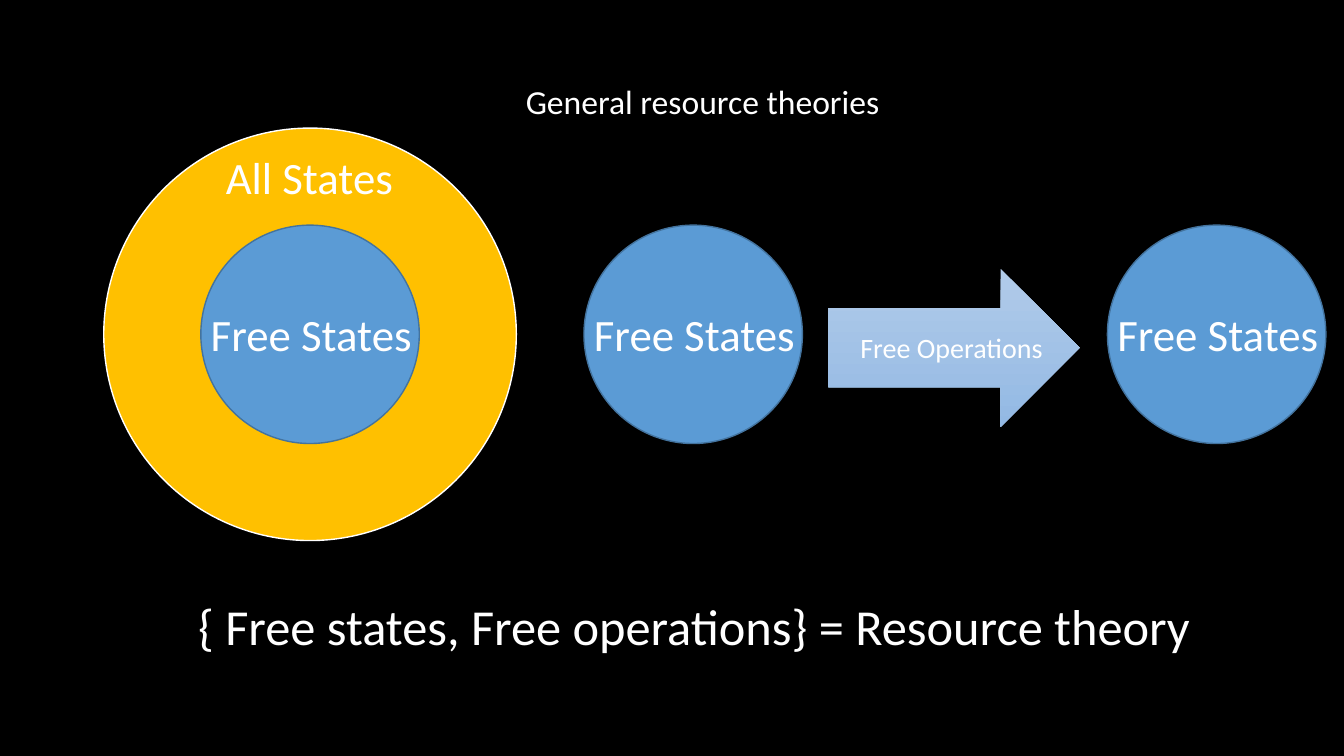
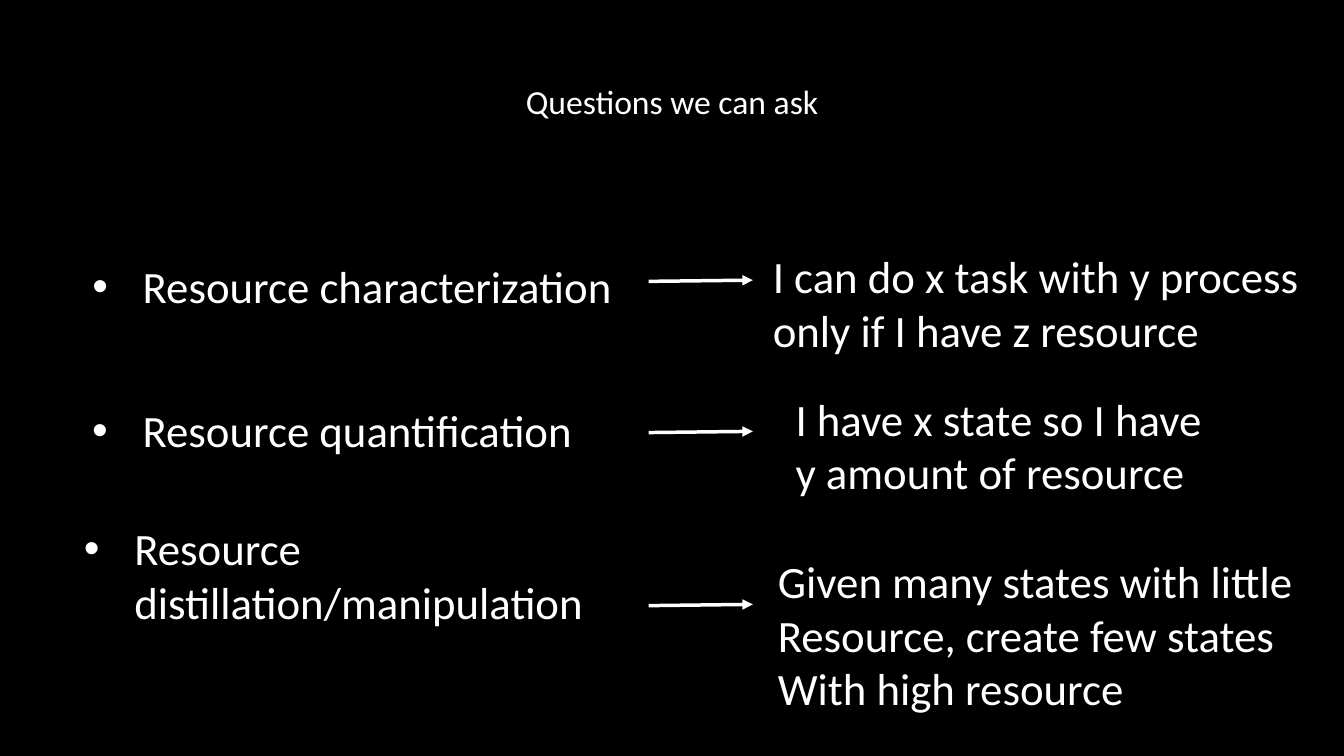
from dataclasses import dataclass

from lxml.etree import SubElement
from pptx import Presentation
from pptx.dml.color import RGBColor
from pptx.enum.shapes import MSO_CONNECTOR, MSO_SHAPE
from pptx.enum.text import MSO_ANCHOR, MSO_AUTO_SIZE, PP_ALIGN
from pptx.oxml.ns import qn
from pptx.shapes.autoshape import Shape
from pptx.slide import Slide
from pptx.util import Inches, Length, Pt

# Shared style
BLACK = RGBColor(0x00, 0x00, 0x00)
WHITE = RGBColor(0xFF, 0xFF, 0xFF)
GOLD = RGBColor(0xFF, 0xC0, 0x00)
BLUE = RGBColor(0x5B, 0x9B, 0xD5)
DARK_BLUE = RGBColor(0x43, 0x73, 0x9E)
ARROW_TOP = RGBColor(0xB1, 0xCB, 0xE9)
ARROW_BOTTOM = RGBColor(0x93, 0xB9, 0xE4)
FONT = "Calibri"
TITLE_SIZE, BODY_SIZE, FORMULA_SIZE, ARROW_SIZE = 24, 32, 36, 20

# Grid of square cells: 160 columns by 90 rows
SLIDE_W, SLIDE_H = Inches(13.33), Inches(7.5)
CELL = SLIDE_H / 90
CELL_PT = 6


@dataclass(frozen=True)
class Label:
    col: float
    row: float
    cols: float
    lines: tuple[str, ...]
    size: int = BODY_SIZE
    bullet: bool = False
    wrap: bool = False

    @property
    def rows(self) -> float:
        """Height of the text lines plus the top and bottom insets."""
        count = 2 if self.wrap else len(self.lines)
        return count * self.size * 1.2 / CELL_PT + 1.2


@dataclass(frozen=True)
class Question:
    topic: Label
    arrow_row: float
    answer: Label


def grid(cells: float) -> Length:
    return Length(round(cells * CELL))


def add_bullet(p) -> None:
    pPr = p._p.get_or_add_pPr()
    pPr.set("marL", str(Inches(0.5)))
    pPr.set("indent", str(-Inches(0.5)))
    SubElement(pPr, qn("a:buFont"), typeface="Arial")
    SubElement(pPr, qn("a:buChar"), char="•")


def add_label(s: Slide, label: Label) -> Shape:
    sp = s.shapes.add_textbox(*map(grid, (label.col, label.row, label.cols, label.rows)))
    tf = sp.text_frame
    tf.word_wrap = label.wrap
    tf.auto_size = MSO_AUTO_SIZE.SHAPE_TO_FIT_TEXT
    for i, line in enumerate(label.lines):
        p = tf.paragraphs[0] if i == 0 else tf.add_paragraph()
        if label.bullet:
            add_bullet(p)
        r = p.add_run()
        r.text = line
        r.font.name, r.font.size = FONT, Pt(label.size)
        r.font.color.rgb = WHITE
    return sp


def add_circle(s: Slide, x: float, y: float, size: float, fill: RGBColor, line: RGBColor) -> None:
    box = (x - size / 2, y - size / 2, size, size)
    sp = s.shapes.add_shape(MSO_SHAPE.OVAL, *map(grid, box))
    sp.shadow.inherit = False
    sp.fill.solid()
    sp.fill.fore_color.rgb = fill
    sp.line.color.rgb = line
    sp.line.width = Pt(1)


def add_operations_arrow(s: Slide) -> None:
    sp = s.shapes.add_shape(MSO_SHAPE.RIGHT_ARROW, *map(grid, (98.6, 32, 29.9, 18.8)))
    sp.shadow.inherit = False
    sp.line.fill.background()
    sp.fill.gradient()
    sp.fill.gradient_angle = 270
    for stop, color in zip(sp.fill.gradient_stops, (ARROW_TOP, ARROW_BOTTOM)):
        stop.color.rgb = color

    caption = add_label(s, Label(101, 36.8, 24.5, ("Free Operations",), ARROW_SIZE))
    caption.height = grid(9.5)
    tf = caption.text_frame
    tf.auto_size = MSO_AUTO_SIZE.NONE
    tf.word_wrap = True
    tf.vertical_anchor = MSO_ANCHOR.MIDDLE
    tf.margin_left = tf.margin_right = 0
    tf.paragraphs[0].alignment = PP_ALIGN.CENTER
    tf.paragraphs[0].line_spacing = 0.9


def add_link(s: Slide, row: float) -> None:
    ends = (77.2, row, 89.6, row - 0.15)
    c = s.shapes.add_connector(MSO_CONNECTOR.STRAIGHT, *map(grid, ends))
    c.line.color.rgb = WHITE
    c.line.width = Pt(2.5)
    SubElement(c.line._get_or_add_ln(), qn("a:tailEnd"), type="triangle")
    SubElement(c._element.spPr, qn("a:effectLst"))


def add_slide(prs, title: str, cols: float) -> Slide:
    s = prs.slides.add_slide(prs.slide_layouts[6])
    add_label(s, Label(61.4, 9.1, cols, (title,), TITLE_SIZE))
    return s


def build_theory(prs) -> None:
    s = add_slide(prs, "General resource theories", 45)
    center_row, free_size = 39.8, 26
    free_centers = (36.9, 82.5, 144.8)

    # All states around the first set of free states
    add_circle(s, free_centers[0], center_row, 49.1, GOLD, WHITE)
    add_label(s, Label(25.7, 17.2, 22.6, ("All States",)))
    for x in free_centers:
        add_circle(s, x, center_row, free_size, BLUE, DARK_BLUE)
        add_label(s, Label(x - free_size / 2, 35.9, 26.5, ("Free States",)))

    # Operations and formula
    add_operations_arrow(s)
    formula = "{ Free states, Free operations} = Resource theory"
    add_label(s, Label(22.4, 70.3, 123, (formula,), FORMULA_SIZE))


QUESTIONS = (
    Question(
        Label(9.8, 30.2, 64.9, ("Resource characterization",), bullet=True),
        33.5,
        Label(90.8, 29, 67, ("I can do x task with y process", "only if I have z resource")),
    ),
    Question(
        Label(9.8, 47.4, 60.2, ("Resource quantification",), bullet=True),
        51.5,
        Label(93.5, 46, 51.2, ("I have x state so I have", "y amount of resource")),
    ),
    Question(
        Label(8.8, 61.4, 62.5, ("Resource distillation/manipulation",), bullet=True, wrap=True),
        72.1,
        Label(91.4, 65.3, 64.4, ("Given many states with little",
                                 "Resource, create few states",
                                 "With high resource")),
    ),
)


def build_questions(prs) -> None:
    s = add_slide(prs, "Questions we can ask", 37.6)
    for question in QUESTIONS:
        add_label(s, question.topic)
        add_link(s, question.arrow_row)
        add_label(s, question.answer)


def main() -> None:
    prs = Presentation()
    prs.slide_width, prs.slide_height = SLIDE_W, SLIDE_H
    background = prs.slide_master.background.fill
    background.solid()
    background.fore_color.rgb = BLACK
    build_theory(prs)
    build_questions(prs)
    prs.save("out.pptx")


if __name__ == "__main__":
    main()
